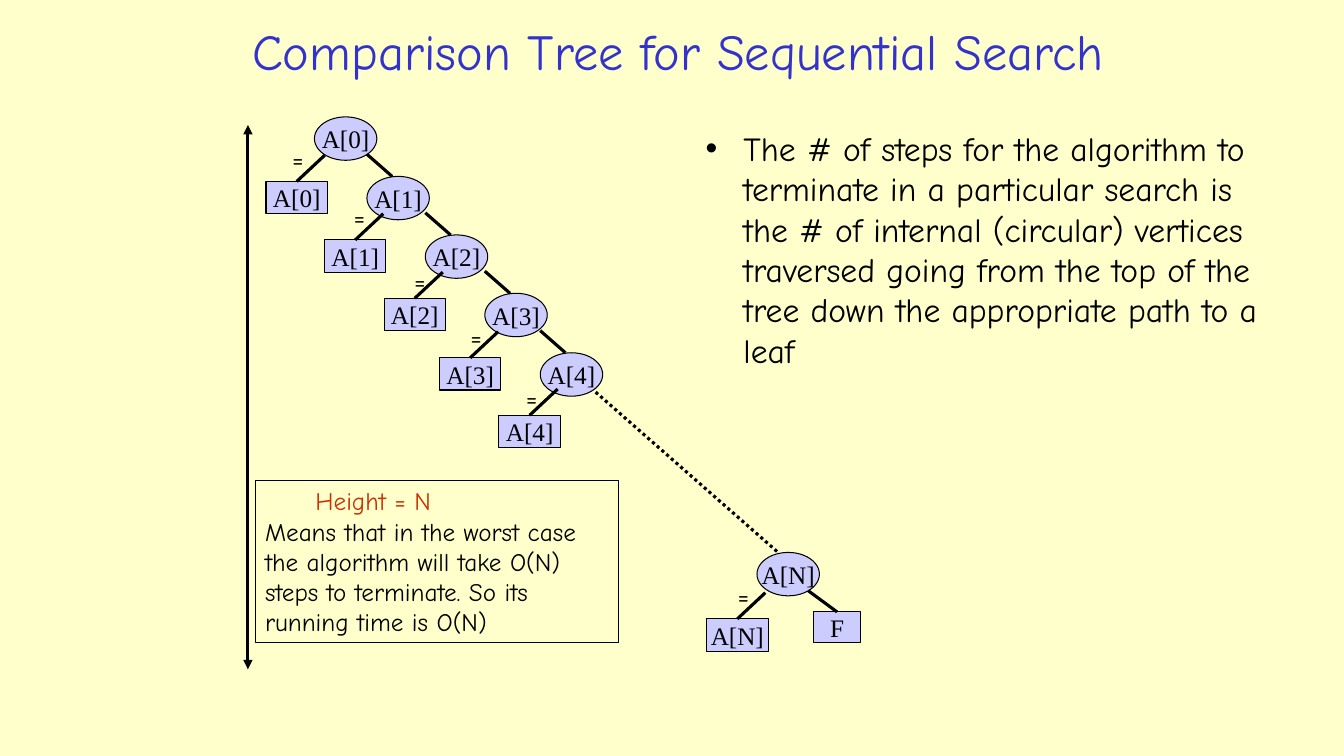
from lxml.etree import SubElement
from pptx import Presentation
from pptx.dml.color import RGBColor
from pptx.enum.dml import MSO_LINE
from pptx.enum.shapes import MSO_CONNECTOR, MSO_SHAPE
from pptx.enum.text import MSO_ANCHOR, MSO_AUTO_SIZE, PP_ALIGN
from pptx.oxml.ns import qn
from pptx.util import Pt

CREAM = RGBColor(0xFF, 0xFF, 0xCC)
LILAC = RGBColor(0xCC, 0xCC, 0xFF)
BLUE = RGBColor(0x33, 0x33, 0xCC)
RED = RGBColor(0xCC, 0x33, 0x00)
BLACK = RGBColor(0, 0, 0)
HAND = "Comic Neue"
SERIF = "Times New Roman"

CIRCLE_W, CIRCLE_H = 44.6, 31
LEAF_W, LEAF_H = 43.9, 23
COMPARISONS = [
    ("A[0]", (34.6, 0), (0, 46.1), (11.6, 15.1)),
    ("A[1]", (72.1, 42.5), (41.8, 87.9), (55.5, 56.9)),
    ("A[2]", (113.8, 84.3), (84.3, 129.6), (98.7, 102.3)),
    ("A[3]", (156.3, 126), (123.9, 172.1), (139, 142.6)),
    ("A[4]", (195.9, 168.5), (166.4, 213.1), (178.6, 185.8)),
    ("A[N]", (350.7, 311.1), (314.7, 358.6), (329.8, 327.6)),
]


def style(paragraph, size, color, face=HAND, align=PP_ALIGN.LEFT):
    paragraph.alignment = align
    paragraph.font.size = Pt(size)
    paragraph.font.name = face
    paragraph.font.color.rgb = color


def place(placeholder, left, top, width, height):
    placeholder.left, placeholder.top = Pt(left), Pt(top)
    placeholder.width, placeholder.height = Pt(width), Pt(height)
    placeholder.text_frame.auto_size = MSO_AUTO_SIZE.NONE


def add_outlined(slide, kind, left, top, width, height):
    outlined = slide.shapes.add_shape(kind, Pt(left), Pt(top), Pt(width), Pt(height))
    outlined.shadow.inherit = False
    outlined.line.color.rgb = BLACK
    outlined.line.width = Pt(0.75)
    outlined.text_frame.word_wrap = False
    return outlined


def add_vertex(slide, kind, label, left, top, width, height):
    vertex = add_outlined(slide, kind, left, top, width, height)
    vertex.fill.solid()
    vertex.fill.fore_color.rgb = LILAC
    frame = vertex.text_frame
    frame.margin_left = frame.margin_right = frame.margin_top = frame.margin_bottom = 0
    frame.vertical_anchor = MSO_ANCHOR.MIDDLE
    frame.text = label
    style(frame.paragraphs[0], 18, BLACK, SERIF, PP_ALIGN.CENTER)
    return vertex


def add_edge(slide, x1, y1, x2, y2):
    edge = slide.shapes.add_connector(
        MSO_CONNECTOR.STRAIGHT, Pt(x1), Pt(y1), Pt(x2), Pt(y2))
    edge.line.color.rgb = BLACK
    edge.line.width = Pt(2.25)
    SubElement(edge._element.spPr, qn("a:effectLst"))
    return edge


def add_equals(slide, left, top):
    equals = slide.shapes.add_textbox(Pt(left), Pt(top), Pt(23.8), Pt(28.8))
    equals.text_frame.word_wrap = False
    equals.text_frame.text = "="
    style(equals.text_frame.paragraphs[0], 18, BLACK)


def add_title(slide, left, top, width, height):
    title = slide.shapes.title
    place(title, left, top, width, height)
    title.text_frame.vertical_anchor = MSO_ANCHOR.MIDDLE
    title.text_frame.text = "Comparison Tree for Sequential Search"
    style(title.text_frame.paragraphs[0], 36, BLUE, align=PP_ALIGN.CENTER)


def add_tree(slide, left, top):
    for label, (cx, cy), (lx, ly), (ex, ey) in COMPARISONS:
        add_vertex(slide, MSO_SHAPE.OVAL, label,
                   left + cx, top + cy, CIRCLE_W, CIRCLE_H)
        leaf = add_vertex(slide, MSO_SHAPE.RECTANGLE, label,
                          left + lx, top + ly, LEAF_W, LEAF_H)
        leaf_x, leaf_y = left + lx + LEAF_W / 2, top + ly
        match = add_edge(slide, leaf_x + 20, leaf_y - 18.7, leaf_x, leaf_y)
        match.end_connect(leaf, 0)
        add_equals(slide, left + ex, top + ey)

    circles = [(left + cx, top + cy) for _, (cx, cy), _, _ in COMPARISONS]
    for x, y in circles[1:-1]:
        add_edge(slide, x, y - 15.8, x + 18, y)

    (last_x, last_y), (final_x, final_y) = circles[-2:]
    skipped = add_edge(slide, last_x + 39.6, last_y + 28.1, final_x + 15.1, final_y)
    skipped.line.dash_style = MSO_LINE.ROUND_DOT

    failure = add_vertex(slide, MSO_SHAPE.RECTANGLE, "F",
                         final_x + 40.3, final_y + 42.5, 33.8, 21.6)
    mismatch = add_edge(slide, final_x + 36.7, final_y + 27.4,
                        final_x + 57.2, final_y + 42.5)
    mismatch.end_connect(failure, 0)


def add_height_arrow(slide, x, top, height):
    arrow = add_edge(slide, x, top, x, top + height)
    outline = arrow.line._get_or_add_ln()
    for end in ("a:headEnd", "a:tailEnd"):
        SubElement(outline, qn(end), type="triangle")


def add_steps(slide, left, top, width, height):
    steps = slide.placeholders[1]
    place(steps, left, top, width, height)
    steps.text_frame.text = (
        "The # of steps for the algorithm to terminate in a particular search is "
        "the # of internal (circular) vertices traversed going from the top of the "
        "tree down the appropriate path to a leaf")
    paragraph = steps.text_frame.paragraphs[0]
    paragraph.space_before = Pt(0)
    properties = paragraph._p.get_or_add_pPr()
    properties.set("marL", str(Pt(27)))
    properties.set("indent", str(Pt(-27)))
    SubElement(properties, qn("a:buChar"), char="•")
    style(paragraph, 24, BLACK)


def add_running_time(slide, left, top, width, height):
    running_time = add_outlined(slide, MSO_SHAPE.RECTANGLE, left, top, width, height)
    running_time.fill.background()
    frame = running_time.text_frame
    frame.vertical_anchor = MSO_ANCHOR.TOP
    frame.text = "\n".join([
        "\tHeight = N",
        "Means that in the worst case",
        "the algorithm will take O(N)",
        "steps to terminate. So its",
        "running time is O(N)",
    ])
    for index, paragraph in enumerate(frame.paragraphs):
        style(paragraph, 18, BLACK if index else RED)


def main():
    deck = Presentation()
    deck.slide_width, deck.slide_height = Pt(960), Pt(540)
    slide = deck.slides.add_slide(deck.slide_layouts[1])
    slide.background.fill.solid()
    slide.background.fill.fore_color.rgb = CREAM
    add_title(slide, 140.4, 11.5, 687.6, 48.2)
    add_tree(slide, 190, 83.5)
    add_height_arrow(slide, 177.1, 89.3, 388.8)
    add_steps(slide, 496.8, 87.8, 422.6, 283)
    add_running_time(slide, 182.2, 343.4, 259.9, 115.9)
    deck.save("out.pptx")


if __name__ == "__main__":
    main()
